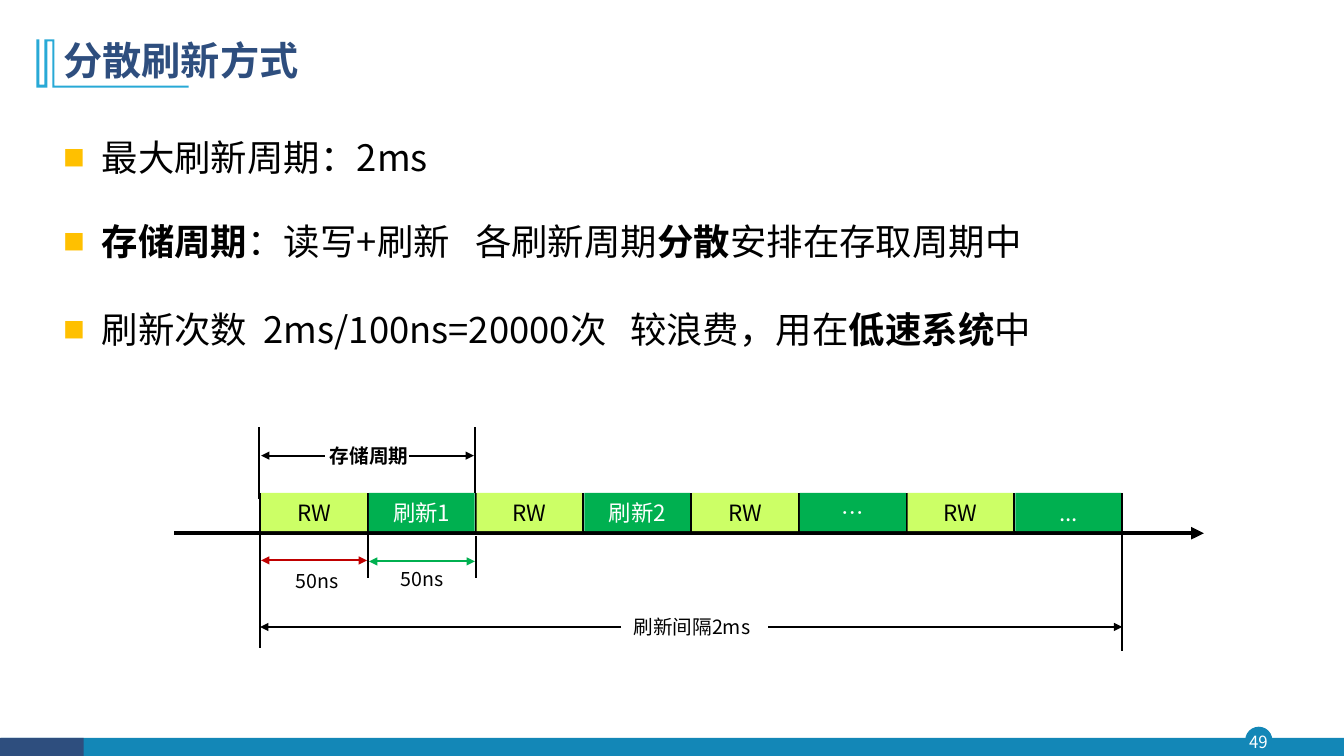
from dataclasses import dataclass
from lxml.etree import SubElement
from pptx import Presentation
from pptx.dml.color import RGBColor
from pptx.enum.shapes import MSO_CONNECTOR as LINK, MSO_SHAPE as SHAPE
from pptx.enum.text import MSO_ANCHOR as ANCHOR, PP_ALIGN as ALIGN
from pptx.oxml.ns import qn
from pptx.util import Inches, Pt


@dataclass(frozen=True)
class Theme:
    font: str = "Noto Sans CJK SC"
    black: str = "000000"
    white: str = "FFFFFF"
    navy: str = "2E4E7E"
    blue: str = "1387B7"
    sky: str = "28A9D6"
    lime: str = "CCFF66"
    green: str = "00B050"
    red: str = "C00000"
    bullet: str = "FFC000"
    title: int = 28
    body: int = 26
    cell: int = 16
    label: int = 14
    number: int = 12


theme = Theme()


def style(para, size, color, align, bold=False):
    para.alignment = align
    para.font.name = theme.font
    para.font.size = Pt(size)
    para.font.bold = bold
    para.font.color.rgb = RGBColor.from_string(color)
    defaults = para._p.pPr.find(qn("a:defRPr"))
    SubElement(defaults, qn("a:ea"), typeface=theme.font)


def add_line(x1, y1, x2, y2, color=theme.black, width=1.5, ends=()):
    line = page.shapes.add_connector(
        LINK.STRAIGHT, Inches(x1), Inches(y1), Inches(x2), Inches(y2))
    line.line.color.rgb = RGBColor.from_string(color)
    line.line.width = Pt(width)
    outline = line.line._get_or_add_ln()
    for end in ends:
        SubElement(outline, qn(f"a:{end}"), type="triangle")
    SubElement(line._element.spPr, qn("a:effectLst"))
    return line


deck = Presentation()
deck.slide_width, deck.slide_height = Inches(13.33), Inches(7.5)
page = deck.slides.add_slide(deck.slide_layouts[5])

for kind, left, top, width, height, color in (
    (SHAPE.OVAL, 12.35, 7.21, 0.27, 0.27, theme.blue),
    (SHAPE.RECTANGLE, 0.01, 7.32, 13.32, 0.19, theme.blue),
    (SHAPE.RECTANGLE, 0, 7.32, 0.83, 0.19, theme.navy),
):
    footer = page.shapes.add_shape(
        kind, Inches(left), Inches(top), Inches(width), Inches(height))
    footer.shadow.inherit = False
    footer.fill.solid()
    footer.fill.fore_color.rgb = RGBColor.from_string(color)
    footer.line.fill.background()

number = page.shapes.add_textbox(Inches(12.32), Inches(7.2), Inches(0.32), Inches(0.31))
frame = number.text_frame
frame.margin_left = frame.margin_right = frame.margin_top = frame.margin_bottom = 0
frame.vertical_anchor = ANCHOR.MIDDLE
frame.word_wrap = True
frame.text = "49"
style(frame.paragraphs[0], theme.number, theme.white, ALIGN.CENTER)

corner = ((0.54, 0.39), (0.54, 0.85), (1.87, 0.85), (1.87, 0.87), (0.52, 0.87),
          (0.52, 0.41), (0.47, 0.41), (0.47, 0.87), (0.36, 0.87), (0.36, 0.39),
          (0.39, 0.39), (0.39, 0.84), (0.44, 0.84), (0.44, 0.39))
points = [(Inches(x), Inches(y)) for x, y in corner]
builder = page.shapes.build_freeform(*points[0])
builder.add_line_segments(points[1:], close=True)
ornament = builder.convert_to_shape()
ornament.shadow.inherit = False
ornament.fill.solid()
ornament.fill.fore_color.rgb = RGBColor.from_string(theme.sky)
ornament.line.fill.background()

title = page.shapes.title
title.left, title.top = Inches(0.53), Inches(0.28)
title.width, title.height = Inches(11.5), Inches(0.68)
title.text_frame.vertical_anchor = ANCHOR.MIDDLE
title.text_frame.text = "分散刷新方式"
heading = title.text_frame.paragraphs[0]
heading.line_spacing = 0.9
style(heading, theme.title, theme.navy, ALIGN.LEFT, True)

points_box = page.shapes.add_textbox(Inches(0.53), Inches(1.03), Inches(11.5), Inches(2.5))
frame = points_box.text_frame
frame.word_wrap = True
bullets = (
    (1.6, 0, ("最大刷新周期：2ms",)),
    (1.6, 12, ("*存储周期", "：读写+刷新", " ", "各刷新周期", "*分散", "安排在存取周期中")),
    (1.7, 5.7, ("刷新次数", " ", "2ms/100ns=20000次")),
)
ending = ((" ", 10.7), ("较浪费，用在", 0), ("*低速系统", 0), ("中", 0))
for index, (spacing, gap, texts) in enumerate(bullets):
    para = frame.paragraphs[0] if index == 0 else frame.add_paragraph()
    para.line_spacing = spacing
    para.space_before = Pt(10 if index else 0)
    layout = para._p.get_or_add_pPr()
    layout.set("marL", str(Inches(0.38)))
    layout.set("indent", str(-Inches(0.38)))
    tint = SubElement(layout, qn("a:buClr"))
    SubElement(tint, qn("a:srgbClr"), val=theme.bullet)
    SubElement(layout, qn("a:buSzPct"), val="60000")
    SubElement(layout, qn("a:buFont"), typeface=theme.font)
    SubElement(layout, qn("a:buChar"), char="■")
    style(para, theme.body, theme.black, ALIGN.JUSTIFY)
    spans = [(text, gap) for text in texts]
    if index == len(bullets) - 1:
        spans.extend(ending)
    for text, room in spans:
        span = para.add_run()
        span.text = text.lstrip("*")
        if text.startswith("*"):
            span.font.bold = True
        if text == " ":
            span._r.get_or_add_rPr().set("spc", str(round(room * 100)))

start, end, cell_top, cell_bottom = 2.58, 11.13, 4.89, 5.27
cells = ("RW", "刷新1", "RW", "刷新2", "RW", "…", "RW", "...")
pitch = (end - start) / len(cells)

add_line(1.73, 5.29, 11.94, 5.29, width=3, ends=("tailEnd",))

for index, text in enumerate(cells):
    left = start + index * pitch
    fill, ink = ((theme.lime, theme.black), (theme.green, theme.white))[index % 2]
    add_line(left, cell_top, left, cell_bottom)
    box = page.shapes.add_shape(
        SHAPE.RECTANGLE, Inches(left + 0.01), Inches(cell_top),
        Inches(1.05), Inches(cell_bottom - cell_top))
    box.shadow.inherit = False
    box.fill.solid()
    box.fill.fore_color.rgb = RGBColor.from_string(fill)
    box.line.fill.background()
    box.text_frame.vertical_anchor = ANCHOR.MIDDLE
    box.text_frame.text = text
    style(box.text_frame.paragraphs[0], theme.cell, ink, ALIGN.CENTER)

for x, top, bottom in (
    (end, cell_top, cell_bottom), (start, 5.27, 6.43), (end, 5.3, 6.46),
    (3.65, 5.31, 5.73), (4.72, 5.32, 5.73), (2.57, 4.24, 4.95), (4.71, 4.24, 4.89),
):
    add_line(x, top, x, bottom)

labels = {}
for name, text, left, top, width, bold in (
    ("interval", "刷新间隔2ms", 6.16, 6.05, 1.38, False),
    ("cycle", "存储周期", 3.11, 4.35, 1.04, True),
    ("access", "50ns", 2.79, 5.59, 0.67, False),
    ("refresh", "50ns", 3.83, 5.58, 0.67, False),
):
    labels[name] = page.shapes.add_textbox(
        Inches(left), Inches(top), Inches(width), Inches(0.34))
    frame = labels[name].text_frame
    frame.word_wrap = True
    frame.text = text
    style(frame.paragraphs[0], theme.label, theme.black, ALIGN.RIGHT, bold)

add_line(7.62, 6.22, end, 6.22, ends=("tailEnd",))
interval_left = add_line(6.16, 6.22, start, 6.22, ends=("tailEnd",))
interval_left.begin_connect(labels["interval"], 1)
add_line(4.06, 4.52, 4.7, 4.52, ends=("tailEnd",))
add_line(3.22, 4.52, 2.59, 4.52, ends=("tailEnd",))
add_line(2.59, 5.56, 3.64, 5.56, theme.red, ends=("headEnd", "tailEnd"))
add_line(3.66, 5.57, 4.71, 5.57, theme.green, ends=("headEnd", "tailEnd"))

deck.save("out.pptx")
